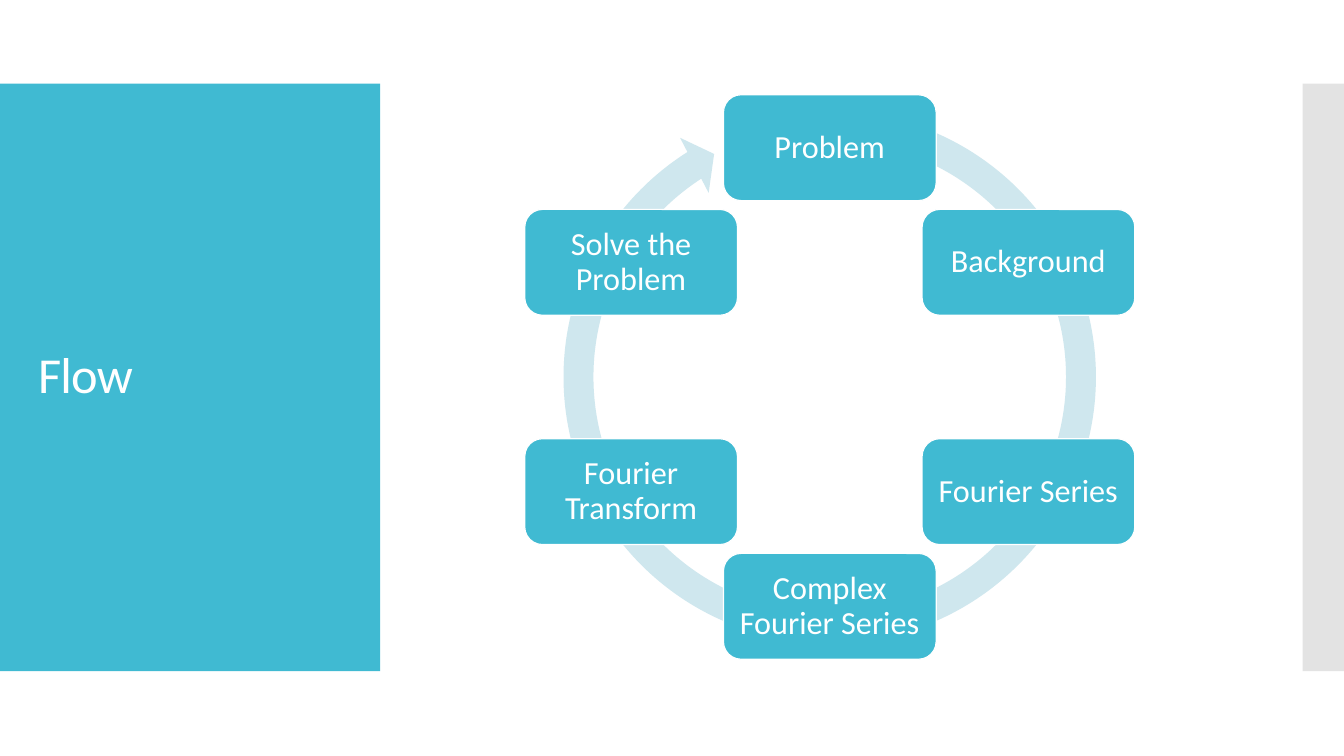
from math import cos, radians, sin

from pptx import Presentation
from pptx.dml.color import RGBColor
from pptx.enum.shapes import MSO_SHAPE as SHAPE
from pptx.enum.text import MSO_ANCHOR as ANCHOR, PP_ALIGN as ALIGN
from pptx.util import Inches, Pt

TEAL = RGBColor(0x40, 0xBA, 0xD2)
PALE_TEAL = RGBColor(0xCF, 0xE7, 0xEE)
GREY = RGBColor(0xE3, 0xE3, 0xE3)
WHITE = RGBColor(0xFF, 0xFF, 0xFF)
FONT = "Calibri"

STEPS = ["Problem", "Background", "Fourier Series", "Complex Fourier Series",
         "Fourier Transform", "Solve the Problem"]
STEP_W, STEP_H = 2.11, 1.05
ARROW_ADJUSTMENTS = [0.053, 3.126, 142.437, 171.179, 0.055]


def add_filled(s, kind, x, y, w, h, color):
    sp = s.shapes.add_shape(kind, Inches(x), Inches(y), Inches(w), Inches(h))
    sp.shadow.inherit = False
    sp.fill.solid()
    sp.fill.fore_color.rgb = color
    sp.line.fill.background()
    return sp


def set_text(sp, text, size, align):
    tf = sp.text_frame
    tf.word_wrap = True
    tf.vertical_anchor = ANCHOR.MIDDLE
    tf.text = text
    p = tf.paragraphs[0]
    p.alignment = align
    p.line_spacing = 0.9
    r = p.runs[0]
    r.font.name = FONT
    r.font.size = Pt(size)
    r.font.color.rgb = WHITE
    return r


def add_title_panel(s, title, x, y, w, h):
    add_filled(s, SHAPE.RECTANGLE, x, y, w, h, TEAL)
    tb = s.shapes.add_textbox(Inches(x + 0.28), Inches(y + 0.4),
                              Inches(w - 0.55), Inches(h - 0.8))
    r = set_text(tb, title, 36, ALIGN.LEFT)
    r.font._element.set("spc", "-60")


def add_cycle(s, steps, x, y, size):
    """Place the steps clockwise from the top, over a circular arrow."""
    arrow = add_filled(s, SHAPE.CIRCULAR_ARROW, x, y, size, size, PALE_TEAL)
    for i, value in enumerate(ARROW_ADJUSTMENTS):
        arrow.adjustments[i] = value

    center_x, center_y = x + size / 2, y + size / 2
    radius = (size - STEP_H) / 2
    for i, step in enumerate(steps):
        angle = radians(360 / len(steps) * i)
        left = center_x + radius * sin(angle) - STEP_W / 2
        top = center_y - radius * cos(angle) - STEP_H / 2
        box = add_filled(s, SHAPE.ROUNDED_RECTANGLE, left, top, STEP_W, STEP_H, TEAL)
        box.line.color.rgb = WHITE
        box.line.width = Pt(0.85)
        set_text(box, step, 23, ALIGN.CENTER)


def main():
    prs = Presentation()
    prs.slide_width, prs.slide_height = Inches(13.33), Inches(7.5)
    s = prs.slides.add_slide(prs.slide_layouts[6])
    add_title_panel(s, "Flow", 0, 0.83, 3.77, 5.83)
    add_filled(s, SHAPE.RECTANGLE, 12.92, 0.83, 0.41, 5.83, GREY)
    add_cycle(s, STEPS, 5.43, 0.94, 5.6)
    prs.save("out.pptx")


if __name__ == "__main__":
    main()
